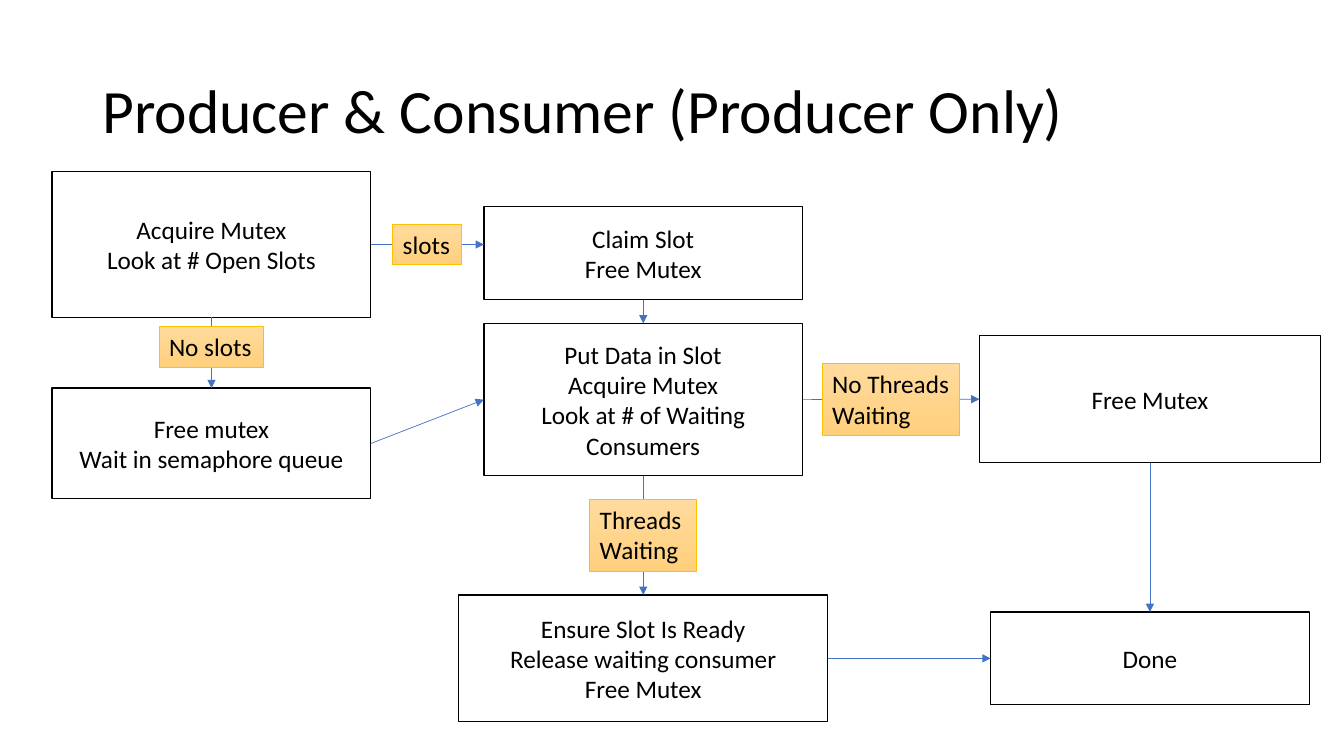
"""Build the producer flowchart slide."""
from dataclasses import dataclass

from lxml import etree
from pptx import Presentation
from pptx.dml.color import RGBColor
from pptx.enum import shapes, text
from pptx.oxml import ns
from pptx.util import Cm, Pt

TITLE = "Producer & Consumer (Producer Only)"
COLUMNS = {"left": 5.33, "middle": 16.21, "right": 28.98}
STEPS = {
    "acquire": ("Acquire Mutex\nLook at # Open Slots", "left", 4.32, 8.03, 3.68),
    "wait": ("Free mutex\nWait in semaphore queue", "left", 9.78, 8.03, 2.79),
    "claim": ("Claim Slot\nFree Mutex", "middle", 5.21, 8.03, 2.34),
    "put": ("Put Data in Slot\nAcquire Mutex\nLook at # of Waiting Consumers",
            "middle", 8.15, 8.03, 3.84),
    "ensure": ("Ensure Slot Is Ready\nRelease waiting consumer\nFree Mutex",
               "middle", 14.99, 9.3, 3.2),
    "free": ("Free Mutex", "right", 8.46, 8.59, 3.2),
    "done": ("Done", "right", 15.42, 8.03, 2.34),
}
DOWN = [("acquire", "wait"), ("claim", "put"), ("put", "ensure"), ("free", "done")]
ACROSS = [("acquire", "claim"), ("wait", "put"), ("put", "free"), ("ensure", "done")]
LEVEL = [("acquire", "claim")]
LABELS = [
    ("No slots", ("acquire", "wait"), 2.64, 1.03, -0.15),
    ("slots", ("acquire", "claim"), 1.74, 1.03, 0),
    ("No Threads Waiting", ("put", "free"), 3.47, 1.8, 0),
    ("Threads Waiting", ("put", "ensure"), 2.69, 1.8, 0),
]
TOP, LEFT, BOTTOM, RIGHT = range(4)


@dataclass(frozen=True)
class Theme:
    font: str = "Calibri"
    title_size: int = 44
    body_size: int = 18
    ink: str = "000000"
    paper: str = "FFFFFF"
    arrow: str = "4472C4"
    label_line: str = "FFC000"
    label_fill: tuple = ("FFDB9E", "FFD07C")


THEME = Theme()


def color(value):
    return RGBColor.from_string(value)


def write(shape, content, size, alignment):
    frame = shape.text_frame
    frame.text = content
    frame.word_wrap = True
    for paragraph in frame.paragraphs:
        paragraph.alignment = alignment
        for run in paragraph.runs:
            run.font.name = THEME.font
            run.font.size = Pt(size)
            run.font.color.rgb = color(THEME.ink)
    return frame


def add_box(slide, content, center, top, width, height, line, line_width, alignment, anchor):
    shape = slide.shapes.add_shape(shapes.MSO_SHAPE.RECTANGLE, Cm(center - width / 2),
                                   Cm(top), Cm(width), Cm(height))
    shape.shadow.inherit = False
    shape.line.color.rgb = color(line)
    shape.line.width = Pt(line_width)
    write(shape, content, THEME.body_size, alignment).vertical_anchor = anchor
    return shape


def add_step(slide, content, column, top, width, height):
    shape = add_box(slide, content, COLUMNS[column], top, width, height, THEME.ink, 1,
                    text.PP_ALIGN.CENTER, text.MSO_ANCHOR.MIDDLE)
    shape.fill.solid()
    shape.fill.fore_color.rgb = color(THEME.paper)
    return shape


def add_arrow(slide, source, target, start, end, level):
    connector = slide.shapes.add_connector(shapes.MSO_CONNECTOR.STRAIGHT, 0, 0, 0, 0)
    connector.begin_connect(source, start)
    if level:
        connector.end_x, connector.end_y = target.left, connector.begin_y
    else:
        connector.end_connect(target, end)
    connector.line.color.rgb = color(THEME.arrow)
    connector.line.width = Pt(0.5)
    etree.SubElement(connector.line._get_or_add_ln(), ns.qn("a:tailEnd"), type="triangle")
    etree.SubElement(connector._element.spPr, ns.qn("a:effectLst"))
    return connector


def add_label(slide, content, arrow, width, height, shift):
    center = Cm(1) and (arrow.begin_x + arrow.end_x) / 2 / Cm(1)
    middle = (arrow.begin_y + arrow.end_y) / 2 / Cm(1) + shift
    shape = add_box(slide, content, center, middle - height / 2, width, height,
                    THEME.label_line, 0.5, text.PP_ALIGN.LEFT, text.MSO_ANCHOR.TOP)
    shape.fill.gradient()
    shape.fill.gradient_angle = 270
    for position, (stop, value) in enumerate(zip(shape.fill.gradient_stops, THEME.label_fill)):
        stop.position = position
        stop.color.rgb = color(value)


def main():
    presentation = Presentation()
    presentation.slide_width, presentation.slide_height = Cm(33.87), Cm(19.05)
    slide = presentation.slides.add_slide(presentation.slide_layouts[5])

    title = slide.shapes.title
    title.left, title.top, title.width, title.height = Cm(2.33), Cm(1.01), Cm(29.21), Cm(3.68)
    frame = write(title, TITLE, THEME.title_size, text.PP_ALIGN.LEFT)
    frame.vertical_anchor = text.MSO_ANCHOR.MIDDLE
    frame.paragraphs[0].line_spacing = 0.9

    steps = {name: add_step(slide, *step) for name, step in STEPS.items()}
    arrows = {}
    for pairs, start, end in ((DOWN, BOTTOM, TOP), (ACROSS, RIGHT, LEFT)):
        for pair in pairs:
            source, target = (steps[name] for name in pair)
            arrows[pair] = add_arrow(slide, source, target, start, end, pair in LEVEL)
    for content, pair, width, height, shift in LABELS:
        add_label(slide, content, arrows[pair], width, height, shift)

    presentation.save("out.pptx")


if __name__ == "__main__":
    main()
